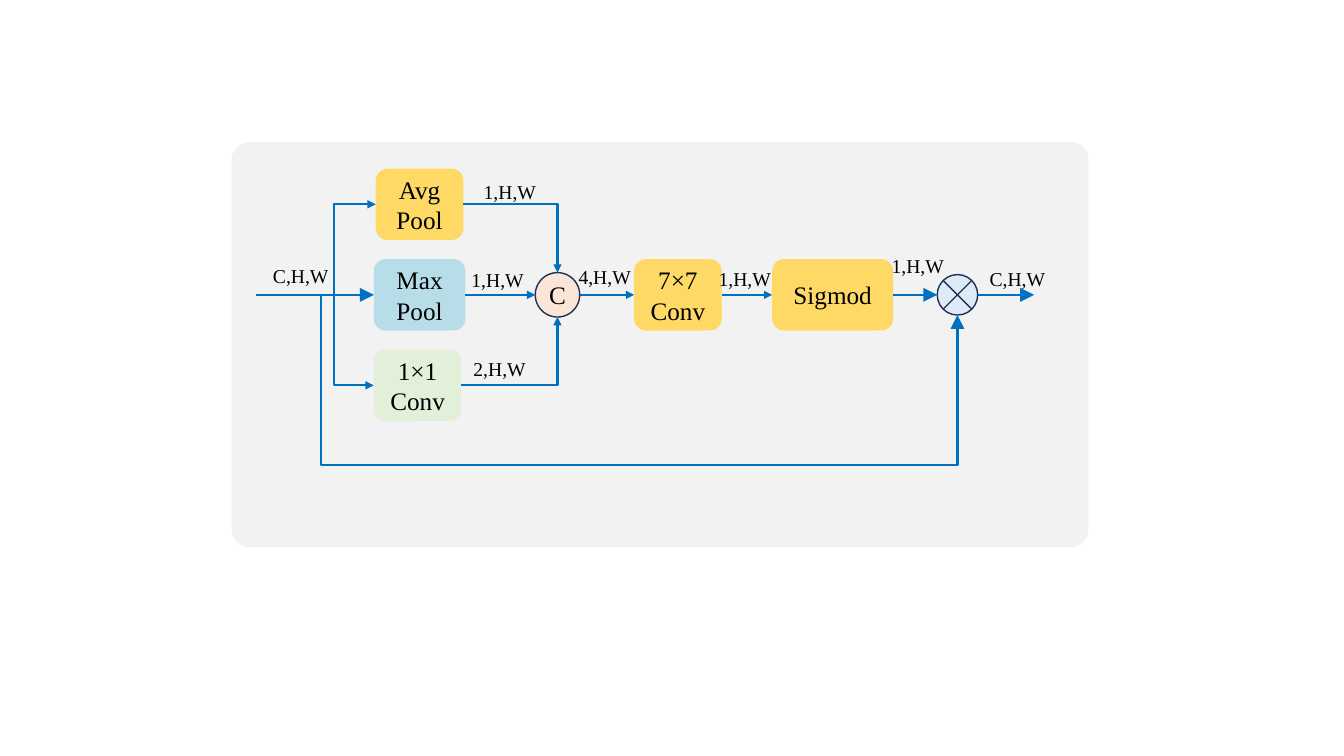
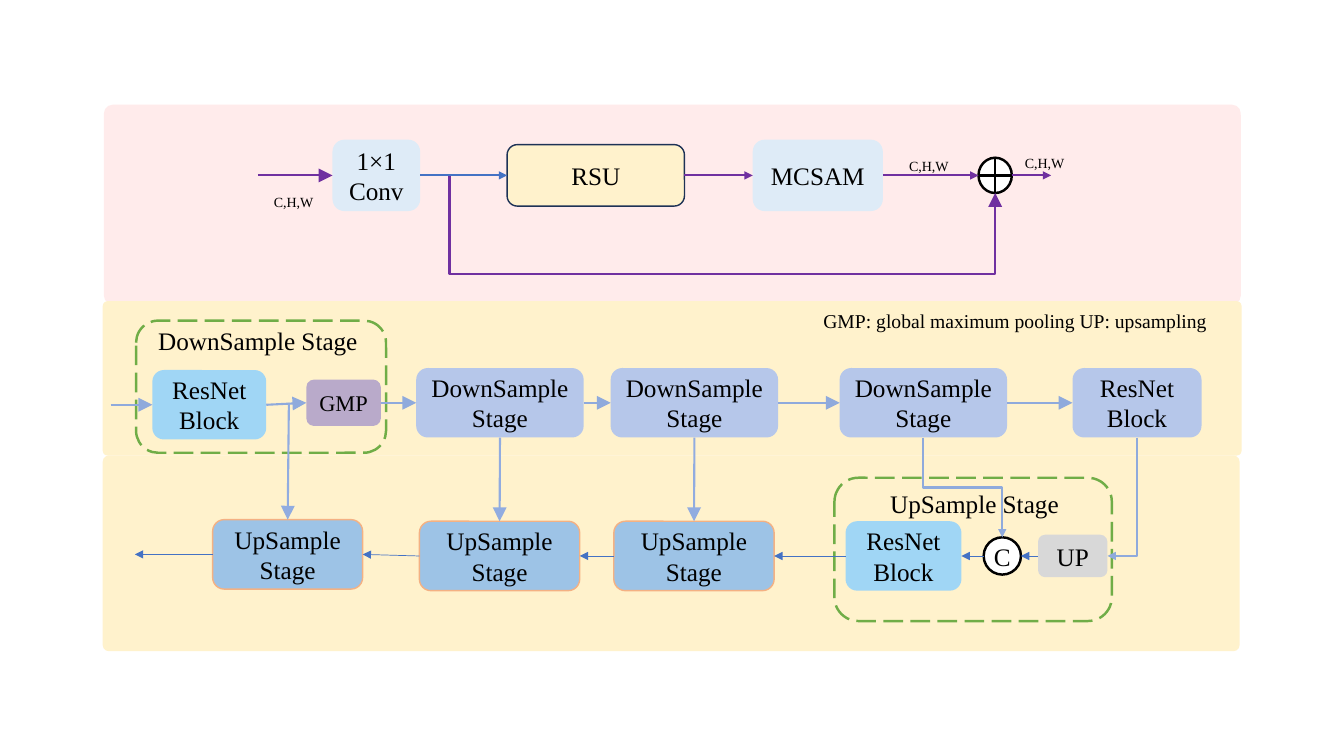
from lxml.etree import SubElement
from pptx import Presentation
from pptx.dml.color import RGBColor
from pptx.enum.dml import MSO_LINE
from pptx.enum.shapes import MSO_CONNECTOR as LINK, MSO_SHAPE as SHAPE
from pptx.enum.text import MSO_ANCHOR, PP_ALIGN
from pptx.oxml.ns import qn
from pptx.util import Cm, Pt

FONT = "Times New Roman"
BLACK = RGBColor(0x00, 0x00, 0x00)
WHITE = RGBColor(0xFF, 0xFF, 0xFF)
NAVY = RGBColor(0x1E, 0x32, 0x56)
GREY_PANEL = RGBColor(0xF2, 0xF2, 0xF2)
PINK_PANEL = RGBColor(0xFF, 0xEB, 0xEB)
CREAM = RGBColor(0xFF, 0xF2, 0xCC)
YELLOW = RGBColor(0xFF, 0xD9, 0x66)
TEAL = RGBColor(0xB7, 0xDD, 0xE8)
MINT = RGBColor(0xE2, 0xF0, 0xD9)
PEACH = RGBColor(0xFB, 0xE5, 0xD6)
PALE_BLUE = RGBColor(0xDE, 0xEB, 0xF7)
SKY = RGBColor(0xA0, 0xD6, 0xF5)
MAUVE = RGBColor(0xB9, 0xAA, 0xCA)
PERIWINKLE = RGBColor(0xB6, 0xC7, 0xEA)
STEEL = RGBColor(0x9D, 0xC3, 0xE6)
SILVER = RGBColor(0xD8, 0xD8, 0xD8)
ORANGE = RGBColor(0xF4, 0xB1, 0x83)
GREEN = RGBColor(0x70, 0xAD, 0x47)
BLUE = RGBColor(0x00, 0x70, 0xC0)
PURPLE = RGBColor(0x70, 0x30, 0xA0)
ROYAL = RGBColor(0x44, 0x72, 0xC4)
SOFT_BLUE = RGBColor(0x8F, 0xAA, 0xDC)
SKIP_BLUE = RGBColor(0x91, 0xAC, 0xE0)

BOX, CIRCLE = SHAPE.ROUNDED_RECTANGLE, SHAPE.OVAL
TIMES, PLUS = SHAPE.FLOWCHART_SUMMING_JUNCTION, SHAPE.FLOWCHART_OR
TOP, LEFT, BOTTOM, RIGHT = range(4)
SIDE_OFFSETS = {TOP: (0, -0.5), LEFT: (-0.5, 0), BOTTOM: (0, 0.5), RIGHT: (0.5, 0)}
SMALL, LARGE = "med", "lg"
ACROSS, DOWN, STEP = "across", "down", "step"

NODE_FRAME = {"word_wrap": True, "vertical_anchor": MSO_ANCHOR.MIDDLE, "margin_left": 0,
              "margin_right": 0, "margin_top": 0, "margin_bottom": 0}
LABEL_FRAME = {"word_wrap": True, "vertical_anchor": MSO_ANCHOR.TOP}

# Row centres and box heights, in centimetres
ATTENTION_ROW, BRANCH_STEP = 7.43, 2.28
UNIT_ROW, ENCODER_ROW, DECODER_ROW = 4.42, 10.15, 14.01
TALL, STAGE = 1.8, 1.75

# Panels: left, top, width, height, corner, fill
# Frames: left, top, width, height
# Nodes: key: (shape, text, left, row centre, width, height, fill, outline, outline width)
# Links: start, end, colour, width, head, route; an end is (node, side) or a point,
#        a route is None, ACROSS, DOWN, STEP or the corner point of a skip line
# Labels: text, left, top, width, height, size, alignment
ATTENTION = {
    "panels": [(5.84, 3.58, 21.59, 10.21, 0.043, GREY_PANEL)],
    "frames": [],
    "nodes": {
        "avg": (BOX, "Avg Pool", 9.47, ATTENTION_ROW - BRANCH_STEP, 2.21, TALL, YELLOW),
        "max": (BOX, "Max Pool", 9.42, ATTENTION_ROW, 2.31, TALL, TEAL),
        "conv": (BOX, "1×1 Conv", 9.42, ATTENTION_ROW + BRANCH_STEP, 2.21, TALL, MINT),
        "concat": (CIRCLE, "C", 13.49, ATTENTION_ROW, 1.12, 1.12, PEACH, NAVY, 1),
        "conv7": (BOX, "7×7 Conv", 15.98, ATTENTION_ROW, 2.21, TALL, YELLOW),
        "sigmod": (BOX, "Sigmod", 19.46, ATTENTION_ROW, 3.05, TALL, YELLOW),
        "product": (TIMES, "", 23.62, ATTENTION_ROW, 1.02, 1.02, PALE_BLUE, NAVY, 1),
    },
    "links": [
        ((6.45, ATTENTION_ROW), ("max", LEFT), BLUE, 1.5, LARGE, None),
        ((8.41, ATTENTION_ROW), ("avg", LEFT), BLUE, 1.5, SMALL, DOWN),
        ((8.41, ATTENTION_ROW), ("conv", LEFT), BLUE, 1.5, SMALL, DOWN),
        (("avg", RIGHT), ("concat", TOP), BLUE, 1.5, SMALL, ACROSS),
        (("max", RIGHT), ("concat", LEFT), BLUE, 1.5, SMALL, None),
        (("conv", RIGHT), ("concat", BOTTOM), BLUE, 1.5, SMALL, ACROSS),
        (("concat", RIGHT), ("conv7", LEFT), BLUE, 1.5, SMALL, None),
        (("conv7", RIGHT), ("sigmod", LEFT), BLUE, 1.5, SMALL, None),
        (("sigmod", RIGHT), ("product", LEFT), BLUE, 1.5, LARGE, None),
        (("product", RIGHT), (26.06, ATTENTION_ROW), BLUE, 1.5, LARGE, None),
        ((8, ATTENTION_ROW), ("product", BOTTOM), BLUE, 1.5, LARGE, (8.08, 11.73)),
    ],
    "labels": [(text, left, top, 1.96, 0.86, 14, PP_ALIGN.LEFT) for text, left, top in [
        ("C,H,W", 6.63, 6.53), ("1,H,W", 11.94, 4.42), ("1,H,W", 11.63, 6.63),
        ("2,H,W", 11.68, 8.86), ("4,H,W", 14.33, 6.55), ("1,H,W", 17.86, 6.6),
        ("1,H,W", 22.22, 6.27), ("C,H,W", 24.69, 6.6)]],
}

NETWORK = {
    "panels": [
        (2.62, 2.64, 28.65, 5.03, 0.043, PINK_PANEL),
        (2.59, 11.48, 28.65, 4.93, 0.031, CREAM),
        (2.59, 7.59, 28.7, 3.89, 0.031, CREAM),
    ],
    "frames": [(3.43, 8.08, 6.3, 3.33), (21.03, 12.04, 6.99, 3.61)],
    "nodes": {
        "conv": (BOX, "1×1 Conv", 8.38, UNIT_ROW, 2.21, TALL, PALE_BLUE),
        "rsu": (BOX, "RSU", 12.78, UNIT_ROW, 4.47, 1.55, CREAM, NAVY, 1),
        "mcsam": (BOX, "MCSAM", 18.97, UNIT_ROW, 3.28, TALL, PALE_BLUE),
        "sum": (PLUS, "", 24.66, UNIT_ROW, 0.84, 0.89, WHITE, BLACK, 1.75),
        "resnet": (BOX, "ResNet Block", 3.84, ENCODER_ROW + 0.05, 2.87, STAGE, SKY),
        "gmp": (BOX, "GMP", 7.72, ENCODER_ROW, 1.88, 1.17, MAUVE),
        "down1": (BOX, "DownSample Stage", 10.49, ENCODER_ROW, 4.22, STAGE, PERIWINKLE),
        "down2": (BOX, "DownSample Stage", 15.39, ENCODER_ROW, 4.22, STAGE, PERIWINKLE),
        "down3": (BOX, "DownSample Stage", 21.16, ENCODER_ROW, 4.22, STAGE, PERIWINKLE),
        "bottom": (BOX, "ResNet Block", 27.03, ENCODER_ROW, 3.25, STAGE, PERIWINKLE),
        "up1": (BOX, "UpSample Stage", 5.36, DECODER_ROW - 0.04, 3.78, STAGE, STEEL, ORANGE, 1),
        "up2": (BOX, "UpSample Stage", 10.57, DECODER_ROW, 4.04, STAGE, STEEL, ORANGE, 1),
        "up3": (BOX, "UpSample Stage", 15.47, DECODER_ROW, 4.04, STAGE, STEEL, ORANGE, 1),
        "up_resnet": (BOX, "ResNet Block", 21.31, DECODER_ROW, 2.92, STAGE, SKY),
        "concat": (CIRCLE, "C", 24.79, DECODER_ROW, 0.94, 0.94, WHITE, BLACK, 1.75),
        "up": (BOX, "UP", 26.16, DECODER_ROW, 1.75, 1.07, SILVER),
    },
    "links": [
        (("conv", RIGHT), ("sum", BOTTOM), PURPLE, 1.5, LARGE, (11.33, 6.91)),
        ((6.5, UNIT_ROW), ("conv", LEFT), PURPLE, 1.5, LARGE, None),
        (("conv", RIGHT), ("rsu", LEFT), ROYAL, 1.5, SMALL, None),
        (("rsu", RIGHT), ("mcsam", LEFT), PURPLE, 1.5, SMALL, None),
        (("mcsam", RIGHT), ("sum", LEFT), PURPLE, 1.5, SMALL, None),
        (("sum", RIGHT), (26.49, UNIT_ROW), PURPLE, 1.5, SMALL, None),
        ((2.79, ENCODER_ROW + 0.05), ("resnet", LEFT), SOFT_BLUE, 1.5, LARGE, None),
        *[((a, RIGHT), (b, LEFT), SOFT_BLUE, 1.5, LARGE, None) for a, b in [
            ("resnet", "gmp"), ("gmp", "down1"), ("down1", "down2"),
            ("down2", "down3"), ("down3", "bottom")]],
        ((7.28, ENCODER_ROW), ("up1", TOP), SKIP_BLUE, 1.5, LARGE, None),
        (("down1", BOTTOM), ("up2", TOP), SKIP_BLUE, 1.5, LARGE, None),
        (("down2", BOTTOM), ("up3", TOP), SKIP_BLUE, 1.5, LARGE, None),
        (("down3", BOTTOM), ("concat", TOP), SOFT_BLUE, 1.5, SMALL, STEP),
        (("bottom", BOTTOM), ("up", RIGHT), SOFT_BLUE, 1.5, SMALL, DOWN),
        *[((a, LEFT), (b, RIGHT), ROYAL, 0.5, SMALL, None) for a, b in [
            ("up", "concat"), ("concat", "up_resnet"), ("up_resnet", "up3"),
            ("up3", "up2"), ("up2", "up1")]],
        (("up1", LEFT), (3.4, DECODER_ROW - 0.04), ROYAL, 0.5, SMALL, None),
    ],
    "labels": [
        *[("C,H,W", left, top, 2.77, 0.69, 10, PP_ALIGN.LEFT)
          for left, top in [(6.65, 4.75), (22.66, 3.84), (25.58, 3.76)]],
        ("DownSample Stage", 3.35, 8.08, 6.3, 1.02, 18, PP_ALIGN.CENTER),
        ("UpSample Stage", 21.41, 12.19, 6.3, 1.02, 18, PP_ALIGN.CENTER),
        ("GMP: global maximum pooling UP: upsampling", 20.5, 7.65, 10.74, 0.86, 14, PP_ALIGN.LEFT),
    ],
}
NODE_SIZES = {"GMP": 16}


def write(shape, text, size, alignment, frame_format):
    frame = shape.text_frame
    for attribute, value in frame_format.items():
        setattr(frame, attribute, value)
    paragraph = frame.paragraphs[0]
    paragraph.alignment = alignment
    run = paragraph.add_run()
    run.text = text
    for attribute, value in {"name": FONT, "size": Pt(size)}.items():
        setattr(run.font, attribute, value)
    run.font.color.rgb = BLACK


def add_block(slide, kind, box, fill=None, outline=None, width=1, corner=None, dash=None):
    shape = slide.shapes.add_shape(kind, *map(Cm, box))
    shape.shadow.inherit = False
    if corner:
        shape.adjustments[0] = corner
    if fill is None:
        shape.fill.background()
    else:
        shape.fill.solid()
        shape.fill.fore_color.rgb = fill
    if outline is None:
        shape.line.fill.background()
    else:
        shape.line.color.rgb = outline
        shape.line.width = Pt(width)
        shape.line.dash_style = dash
    return shape


def locate(end, nodes):
    """Centimetre position of a node's side, or of a plain point."""
    if end[0] not in nodes:
        return end
    left, row, width, height = nodes[end[0]][2:6]
    dx, dy = SIDE_OFFSETS[end[1]]
    return left + width / 2 + dx * width, row + dy * height


def bend(connector, start, end, route):
    """Choose the elbow preset; a vertical start is a flipped quarter turn."""
    (x1, y1), (x2, y2) = start, end
    geometry = connector._element.spPr.find(qn("a:prstGeom"))
    segments = {ACROSS: 2, DOWN: 2, STEP: 3}.get(route, 4)
    geometry.set("prst", f"bentConnector{segments}")
    if route in (DOWN, STEP):
        width, height = abs(y2 - y1), abs(x2 - x1)
        place = {"left": (x1 + x2 - width) / 2, "top": (y1 + y2 - height) / 2,
                 "width": width, "height": height}
        for attribute, value in place.items():
            setattr(connector, attribute, Cm(value))
        turn = {"rot": "5400000", "flipH": str(int(y2 < y1)), "flipV": str(int(x2 > x1))}
        for attribute, value in turn.items():
            connector._element.spPr.find(qn("a:xfrm")).set(attribute, value)
    elif segments == 4:
        ratios = (route[0] - x1) / (x2 - x1), (route[1] - y1) / (y2 - y1)
        for number, ratio in enumerate(ratios, 1):
            SubElement(geometry.find(qn("a:avLst")), qn("a:gd"),
                       name=f"adj{number}", fmla=f"val {round(ratio * 100000)}")


def add_link(slide, nodes, blocks, start, end, colour, width, head, route):
    points = [locate(start, nodes), locate(end, nodes)]
    kind = LINK.ELBOW if route else LINK.STRAIGHT
    connector = slide.shapes.add_connector(kind, *[Cm(v) for point in points for v in point])
    if route:
        bend(connector, *points, route)
    else:
        for join, (key, side) in ((connector.begin_connect, start), (connector.end_connect, end)):
            if key in nodes and nodes[key][0] == BOX:
                join(blocks[key], side)
    connector.line.color.rgb = colour
    connector.line.width = Pt(width)
    SubElement(connector.line._get_or_add_ln(), qn("a:tailEnd"), type="triangle", w=head, len=head)
    SubElement(connector._element.spPr, qn("a:effectLst"))


def build(deck, diagram):
    slide = deck.slides.add_slide(deck.slide_layouts[6])
    # Background panels and dashed stage frames
    for *box, corner, fill in diagram["panels"]:
        add_block(slide, BOX, box, fill, corner=corner)
    for box in diagram["frames"]:
        add_block(slide, BOX, box, None, GREEN, 1.75, dash=MSO_LINE.LONG_DASH)
    # Network blocks
    nodes, blocks = diagram["nodes"], {}
    for key, (kind, text, left, row, width, height, *style) in nodes.items():
        box = (left, row - height / 2, width, height)
        blocks[key] = add_block(slide, kind, box, *style)
        if text:
            write(blocks[key], text, NODE_SIZES.get(text, 18), PP_ALIGN.CENTER, NODE_FRAME)
    # Arrows and labels
    for link in diagram["links"]:
        add_link(slide, nodes, blocks, *link)
    for text, *box, size, alignment in diagram["labels"]:
        write(slide.shapes.add_textbox(*map(Cm, box)), text, size, alignment, LABEL_FRAME)


def main():
    deck = Presentation()
    deck.slide_width, deck.slide_height = Cm(33.87), Cm(19.05)
    for diagram in (ATTENTION, NETWORK):
        build(deck, diagram)
    deck.save("out.pptx")


if __name__ == "__main__":
    main()
